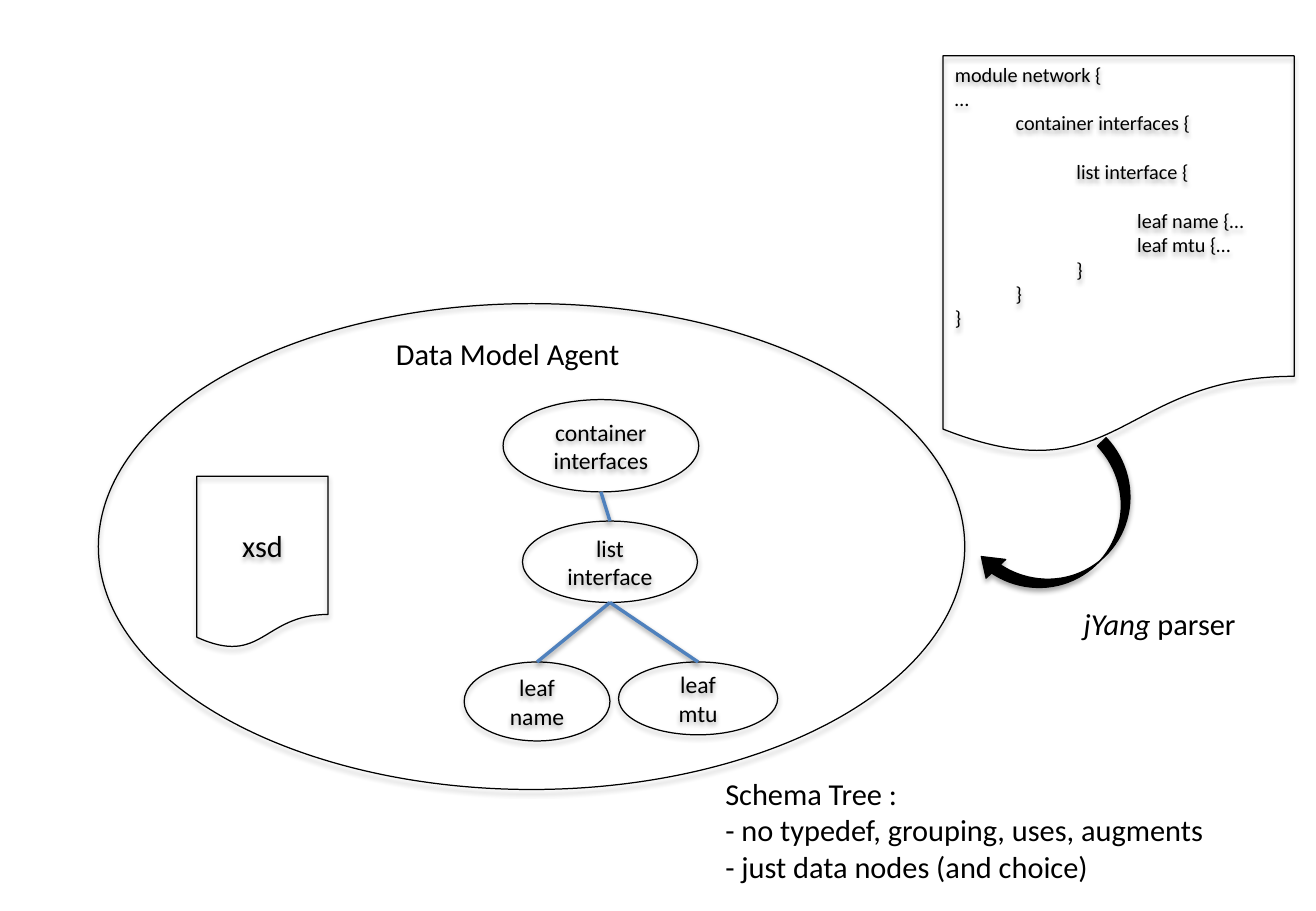
from lxml import etree
from pptx import Presentation
from pptx import util as u
from pptx.dml.color import RGBColor
from pptx.enum import shapes, text
from pptx.oxml.ns import qn

BLACK, BLUE = "000000", "4F81BD"
FONT = "Calibri"
INDENT = 0.5
BLANK_LINE = 14.65
PRESETS = shapes.MSO_SHAPE

AGENT = (0.81, 2.5, 7.13, 4)
XSD = (1.62, 3.92, 1.08, 1.42)
MODULE = (7.76, 0.46, 2.89, 3.29)
ARROW = {"box": (8.44, 3.62, 0.7, 1.53), "rotation": 46.4,
         "adjustments": (0.141, 0.318, 0.223)}
NODES = {
    "container": ((4.14, 3.29, 1.61, 0.76), ["container interfaces"]),
    "list": ((4.3, 4.29, 1.44, 0.67), ["list", "interface"]),
    "name": ((3.82, 5.45, 1.2, 0.65), ["leaf", "name"]),
    "mtu": ((5.09, 5.45, 1.31, 0.6), ["leaf", "mtu"]),
}
BRANCHES = [("container", "list"), ("list", "name"), ("list", "mtu")]
# Indent level, blank lines above, code
MODULE_CODE = [
    (0, 0, "module network {"),
    (0, 0, "…"),
    (1, 0, "container interfaces {"),
    (2, 1, "list interface {"),
    (3, 1, "leaf name {…"),
    (3, 0, "leaf mtu {…"),
    (2, 0, "}"),
    (1, 0, "}"),
    (0, 0, "}"),
]
# Each line is a list of (words, italic) runs
LABELS = [
    ((3.16, 2.71, 2.07, 0.4), [[("Data Model Agent", False)]]),
    ((8.82, 4.93, 1.48, 0.4), [[("jYang ", True), ("parser", False)]]),
    ((5.87, 6.33, 4.18, 1.01), [
        [("Schema Tree :", False)],
        [("- no typedef, grouping, uses, augments", False)],
        [("- just data nodes (and choice)", False)],
    ]),
]


def color(value):
    """Turn a hex string into a colour."""
    return RGBColor.from_string(value)


def inches(values):
    """Turn numbers into lengths in inches."""
    return [u.Inches(value) for value in values]


def apply(target, **formats):
    """Set each named attribute on the target."""
    for name, value in formats.items():
        setattr(target, name, value)


def add_shadow(shape, distance, opacity):
    """Give a shape or connector a soft shadow that falls downwards."""
    effects = etree.SubElement(shape._element.spPr, qn("a:effectLst"))
    shadow = etree.SubElement(
        effects, qn("a:outerShdw"), blurRad=str(u.Pt(3.1)),
        dist=str(u.Pt(distance)), dir="5400000", rotWithShape="0")
    black = etree.SubElement(shadow, qn("a:srgbClr"), val=BLACK)
    etree.SubElement(black, qn("a:alpha"), val=str(opacity * 1000))


def add_outline(slide, preset, box, fill=None):
    """Add a black-lined shape with a shadow."""
    shape = slide.shapes.add_shape(preset, *inches(box))
    if fill:
        shape.fill.solid()
        shape.fill.fore_color.rgb = color(fill)
    else:
        shape.fill.background()
    shape.line.color.rgb = color(BLACK)
    shape.line.width = u.Pt(0.75)
    add_shadow(shape, 1.8, 35)
    return shape


def write(frame, lines, size, **formats):
    """Write lines of (words, italic) runs and return the paragraphs."""
    for index, runs in enumerate(lines):
        paragraph = frame.add_paragraph() if index else frame.paragraphs[0]
        apply(paragraph, **formats)
        for words, italic in runs:
            run = paragraph.add_run()
            run.text = words
            apply(run.font, name=FONT, size=u.Pt(size), italic=italic)
            run.font.color.rgb = color(BLACK)
    return frame.paragraphs


def add_centred(slide, preset, box, lines, size):
    """Add an outlined shape with centred text."""
    frame = add_outline(slide, preset, box).text_frame
    apply(frame, word_wrap=True, vertical_anchor=text.MSO_ANCHOR.MIDDLE)
    write(frame, [[(line, False)] for line in lines], size,
          alignment=text.PP_ALIGN.CENTER)


def add_branch(slide, parent, child):
    """Join the bottom of a parent node to the top of its child."""
    left, top, width, height = NODES[parent][0]
    child_left, child_top, child_width, _ = NODES[child][0]
    ends = (left + width / 2, top + height,
            child_left + child_width / 2, child_top)
    branch = slide.shapes.add_connector(
        shapes.MSO_CONNECTOR.STRAIGHT, *inches(ends))
    branch.line.color.rgb = color(BLUE)
    branch.line.width = u.Pt(2)
    add_shadow(branch, 1.6, 38)


def add_module(slide):
    """Add the document with the indented module code."""
    frame = add_outline(slide, PRESETS.FLOWCHART_DOCUMENT, MODULE).text_frame
    apply(frame, word_wrap=True, vertical_anchor=text.MSO_ANCHOR.TOP)
    paragraphs = write(frame, [[(code, False)] for _, _, code in MODULE_CODE],
                       12, alignment=text.PP_ALIGN.LEFT)
    for paragraph, (level, blanks, _) in zip(paragraphs, MODULE_CODE):
        paragraph.space_before = u.Pt(blanks * BLANK_LINE)
        properties = paragraph._p.get_or_add_pPr()
        properties.set("marL", str(u.Inches(level * INDENT)))


def add_arrow(slide):
    """Add the curved arrow from the module to the agent."""
    arrow = add_outline(slide, PRESETS.CURVED_LEFT_ARROW, ARROW["box"], BLACK)
    arrow.rotation = ARROW["rotation"]
    for index, value in enumerate(ARROW["adjustments"]):
        arrow.adjustments[index] = value


def add_label(slide, box, lines):
    """Add a plain text label."""
    frame = slide.shapes.add_textbox(*inches(box)).text_frame
    apply(frame, word_wrap=False,
          auto_size=text.MSO_AUTO_SIZE.SHAPE_TO_FIT_TEXT)
    write(frame, lines, 18)


presentation = Presentation()
apply(presentation, slide_width=u.Inches(10.83), slide_height=u.Inches(7.5))
slide = presentation.slides.add_slide(presentation.slide_layouts[6])

add_outline(slide, PRESETS.OVAL, AGENT)
add_centred(slide, PRESETS.FLOWCHART_DOCUMENT, XSD, ["xsd"], 18)
for box, lines in NODES.values():
    add_centred(slide, PRESETS.OVAL, box, lines, 14)
for parent, child in BRANCHES:
    add_branch(slide, parent, child)
add_module(slide)
add_arrow(slide)
for box, lines in LABELS:
    add_label(slide, box, lines)

presentation.save("out.pptx")
